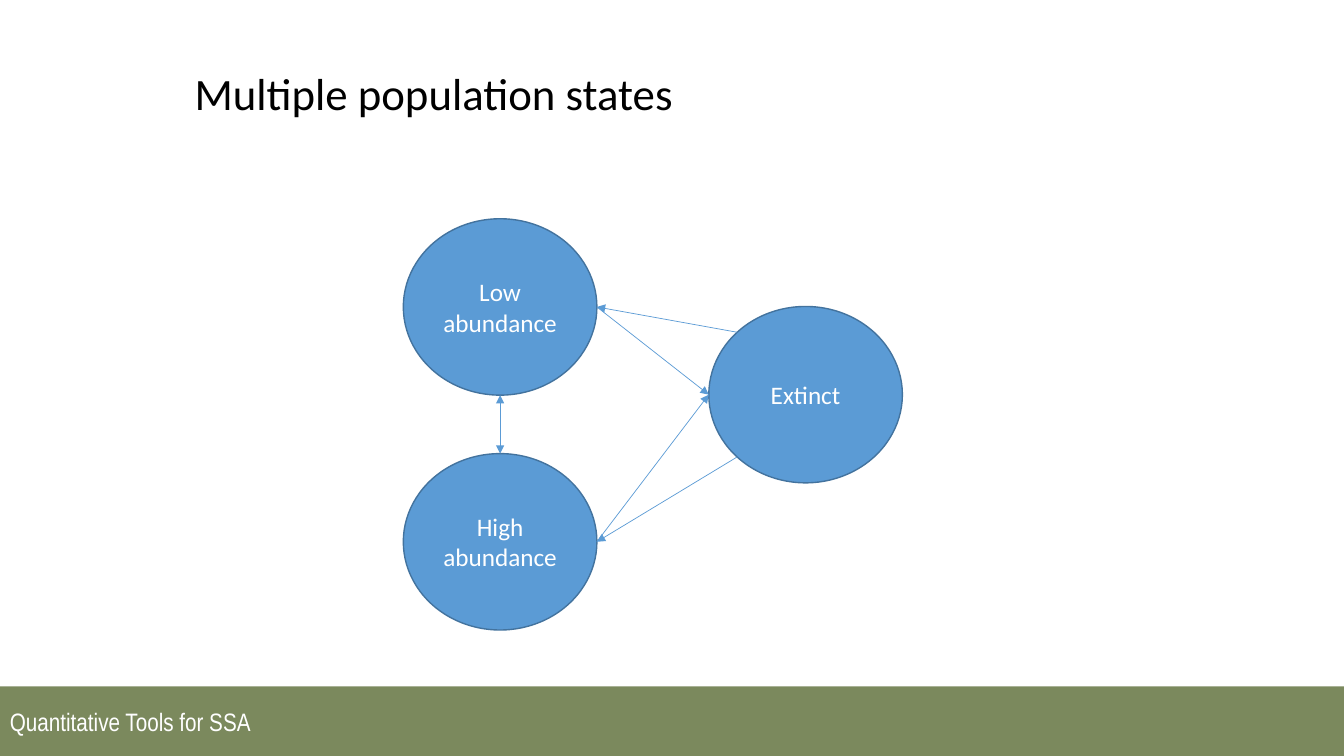
from dataclasses import dataclass
from math import cos, radians, sin

from lxml.etree import SubElement
from pptx import Presentation
from pptx.dml.color import RGBColor as RGB
from pptx.enum.shapes import MSO_CONNECTOR as CONNECTOR, MSO_SHAPE as SHAPE
from pptx.enum.text import MSO_ANCHOR as ANCHOR, PP_ALIGN as ALIGN
from pptx.oxml.ns import qn
from pptx.util import Inches, Pt

# Content
TITLE = "Multiple population states"
FOOTER = "Quantitative Tools for SSA"
STATES = {  # state: left and top in inches
    "Extinct": (7.03, 3.04),
    "Low abundance": (4, 2.17),
    "High abundance": (4, 4.5),
}
# Angles on the ellipse, clockwise from the right
RIGHT, BOTTOM, LOWER_LEFT, LEFT, UPPER_LEFT, TOP = 0, 90, 135, 180, 225, 270
TRANSITIONS = [  # from state, side, to state, side, both ways
    ("Low abundance", RIGHT, "Extinct", LEFT, False),
    ("High abundance", RIGHT, "Extinct", LEFT, False),
    ("Low abundance", BOTTOM, "High abundance", TOP, True),
    ("Extinct", LOWER_LEFT, "High abundance", RIGHT, False),
    ("Extinct", UPPER_LEFT, "Low abundance", RIGHT, False),
]


@dataclass(frozen=True)
class Theme:
    text: str = "000000"
    light: str = "FFFFFF"
    state: str = "5B9BD5"
    outline: str = "43739E"
    band: str = "4F6228"
    band_alpha: int = 75
    font: str = "Calibri"
    footer_font: str = "Arial Narrow"
    title_size: int = 32
    body_size: int = 18


THEME = Theme()
WIDTH, HEIGHT = 13.33, 7.5
STATE_W, STATE_H = 1.92, 1.75
BAND_H = 0.69


def write(shape, text, font, size, color, align):
    frame = shape.text_frame
    frame.text = text
    frame.word_wrap = True
    frame.vertical_anchor = ANCHOR.MIDDLE
    paragraph = frame.paragraphs[0]
    paragraph.alignment = align
    style = paragraph.runs[0].font
    style.name, style.size = font, Pt(size)
    style.color.rgb = RGB.from_string(color)
    return paragraph


def add_filled(slide, kind, box, color):
    shape = slide.shapes.add_shape(kind, *map(Inches, box))
    shape.shadow.inherit = False
    shape.fill.solid()
    shape.fill.fore_color.rgb = RGB.from_string(color)
    return shape


def edge_point(state, angle):
    left, top = STATES[state]
    return (left + STATE_W / 2 * (1 + cos(radians(angle))),
            top + STATE_H / 2 * (1 + sin(radians(angle))))


def add_arrow(slide, start, end, both_ways):
    arrow = slide.shapes.add_connector(
        CONNECTOR.STRAIGHT, *map(Inches, (*start, *end)))
    arrow.line.color.rgb = RGB.from_string(THEME.state)
    arrow.line.width = Pt(0.5)
    properties = arrow.line.color and arrow._element.spPr
    line = properties.find(qn("a:ln"))
    for tip in ("a:headEnd", "a:tailEnd") if both_ways else ("a:tailEnd",):
        SubElement(line, qn(tip), type="triangle")
    SubElement(properties, qn("a:effectLst"))


def main():
    deck = Presentation()
    deck.slide_width, deck.slide_height = Inches(WIDTH), Inches(HEIGHT)
    slide = deck.slides.add_slide(deck.slide_layouts[5])

    # Title
    title = slide.shapes.title
    title.left, title.top, title.width, title.height = map(
        Inches, (1.83, 0.33, 9.5, 1.25))
    heading = write(title, TITLE, THEME.font, THEME.title_size, THEME.text,
                    ALIGN.LEFT)
    heading.line_spacing = 0.9

    # Population states
    for state, corner in STATES.items():
        circle = add_filled(slide, SHAPE.OVAL, (*corner, STATE_W, STATE_H),
                            THEME.state)
        circle.line.color.rgb = RGB.from_string(THEME.outline)
        circle.line.width = Pt(1)
        write(circle, state, THEME.font, THEME.body_size, THEME.light,
              ALIGN.CENTER)

    # Transitions between states
    for source, out_side, target, in_side, both_ways in TRANSITIONS:
        add_arrow(slide, edge_point(source, out_side),
                  edge_point(target, in_side), both_ways)

    # Footer band
    band = add_filled(slide, SHAPE.RECTANGLE,
                      (0, HEIGHT - BAND_H, WIDTH, BAND_H), THEME.band)
    band.line.fill.background()
    tint = band._element.spPr.find(qn("a:solidFill")).find(qn("a:srgbClr"))
    SubElement(tint, qn("a:alpha"), val=str(THEME.band_alpha * 1000))
    write(band, FOOTER, THEME.footer_font, THEME.body_size, THEME.light,
          ALIGN.LEFT)

    deck.save("out.pptx")


if __name__ == "__main__":
    main()
